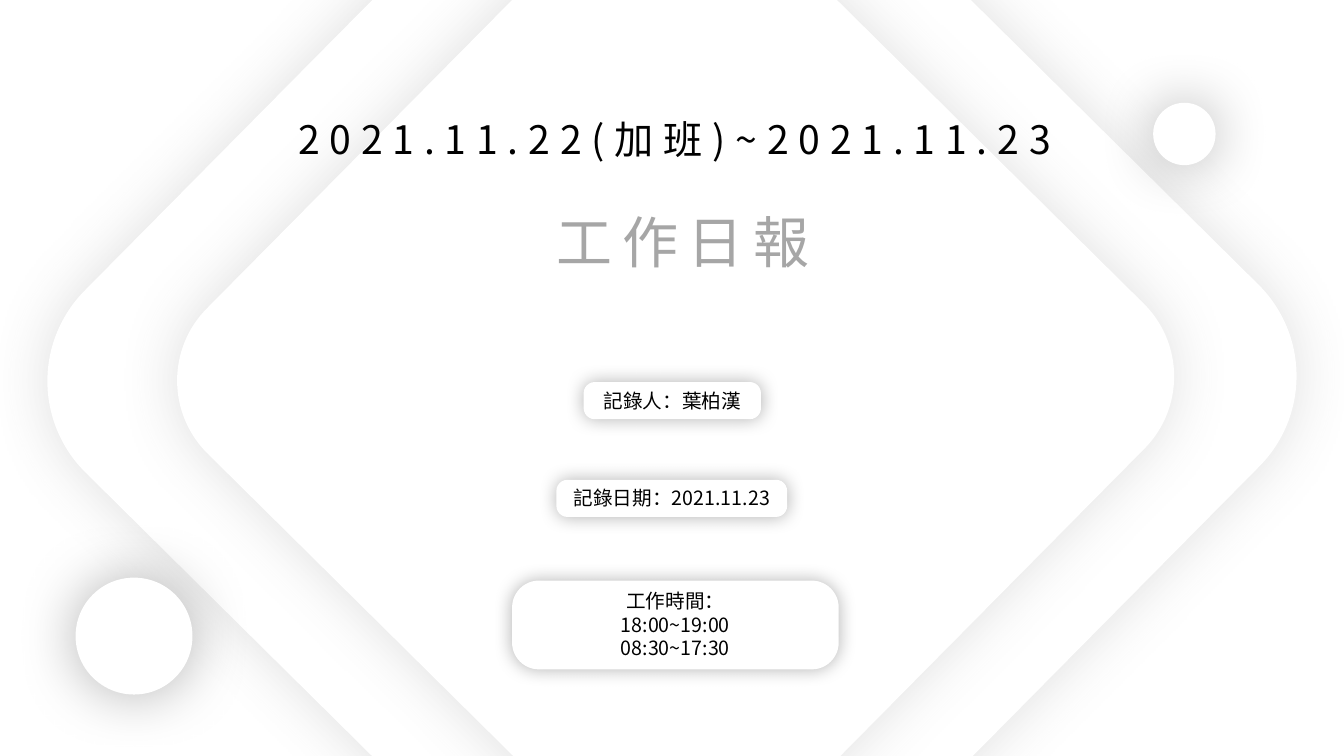
import pptx
import pptx.util
import pptx.dml.color
import pptx.enum.shapes
import pptx.enum.text
import pptx.oxml
import pptx.oxml.ns

Pt = pptx.util.Pt
SHAPE = pptx.enum.shapes.MSO_SHAPE
FONT = "Noto Sans CJK SC"
WHITE, BLACK, GREY, DARK_GREY = "FFFFFF", "000000", "A6A6A6", "595959"


def color(hex_value):
    return pptx.dml.color.RGBColor.from_string(hex_value)


def set_format(target, values):
    for name, value in values.items():
        setattr(target, name, value)


def add_glow_shadow(shape, hex_value, opacity, blur):
    """Give the shape a soft shadow without offset; opacity in percent, blur in points."""
    namespace = pptx.oxml.ns.nsdecls("a")
    shape.shadow.inherit = False
    effects = shape.fill._xPr.find(pptx.oxml.ns.qn("a:effectLst"))
    effects.append(pptx.oxml.parse_xml(
        f'<a:outerShdw {namespace} blurRad="{Pt(blur)}" dist="0" dir="0" algn="ctr" rotWithShape="0">'
        f'<a:srgbClr val="{hex_value}"><a:alpha val="{opacity * 1000}"/></a:srgbClr></a:outerShdw>'))


def add_raised_shape(shapes, kind, box, shadow, corner=None, rotation=0):
    shape = shapes.add_shape(kind, *map(Pt, box))
    shape.rotation = rotation
    if corner is not None:
        shape.adjustments[0] = corner
    shape.fill.solid()
    shape.fill.fore_color.rgb = color(WHITE)
    shape.line.fill.background()
    add_glow_shadow(shape, *shadow)


def add_centered_text(shapes, box, lines, size, hex_value=BLACK, spacing=0):
    text_box = shapes.add_textbox(*map(Pt, box))
    frame = text_box.text_frame
    set_format(frame, {"word_wrap": True,
                       "auto_size": pptx.enum.text.MSO_AUTO_SIZE.SHAPE_TO_FIT_TEXT})
    frame.text = "\n".join(lines)
    for paragraph in frame.paragraphs:
        paragraph.alignment = pptx.enum.text.PP_ALIGN.CENTER
        for run in paragraph.runs:
            set_format(run.font, {"size": Pt(size), "name": FONT})
            run.font.color.rgb = color(hex_value)
            properties = run._r.get_or_add_rPr()
            if spacing:
                properties.set("spc", str(spacing * 100))
            east_asian = pptx.oxml.parse_xml(
                f'<a:ea {pptx.oxml.ns.nsdecls("a")} typeface="{FONT}"/>')
            properties.find(pptx.oxml.ns.qn("a:latin")).addnext(east_asian)


def add_diamond(slide, center_x, center_y, side):
    box = (center_x - side / 2, center_y - side / 2, side, side)
    add_raised_shape(slide.shapes, SHAPE.ROUNDED_RECTANGLE, box,
                     (DARK_GREY, 19, 43), corner=0.134, rotation=44.7)


def add_heading(slide, left, top, width):
    add_centered_text(slide.shapes, (left, top, width, 41),
                      ["2021.11.22(加班)~2021.11.23"], 28, spacing=7)
    add_centered_text(slide.shapes, (left + 125.3, top + 66.2, 342, 55.4),
                      ["工作日報"], 40, GREY, spacing=7)


def add_disc(slide, left, top, diameter):
    add_raised_shape(slide.shapes, SHAPE.OVAL, (left, top, diameter, diameter), (BLACK, 30, 43))


def add_label(slide, box, text_width, lines):
    """Add a rounded plate with text centred on it, as one group."""
    left, top, width, height = box
    group = slide.shapes.add_group_shape()
    add_raised_shape(group.shapes, SHAPE.ROUNDED_RECTANGLE, box, (BLACK, 30, 13), corner=0.302)
    text_height = 7.2 + 17 * len(lines)
    text_box = (left + (width - text_width) / 2, top + (height - text_height) / 2,
                text_width, text_height)
    add_centered_text(group.shapes, text_box, lines, 14)


def build_cover(presentation):
    slide = presentation.slides.add_slide(presentation.slide_layouts[6])
    add_diamond(slide, 480, 270.4, 684.7)
    add_diamond(slide, 482.6, 270.4, 546.5)
    add_heading(slide, 191.5, 78.5, 581)
    add_disc(slide, 54, 412.6, 83.5)
    add_disc(slide, 823.7, 73.4, 44.6)
    labels = [
        ((416.9, 272.9, 126.7, 26.6), 150.5, ["記錄人：葉柏漢"]),
        ((397.4, 342.7, 164.9, 26.6), 173.5, ["記錄日期：2021.11.23"]),
        ((365.8, 414.7, 233.3, 63.4), 245.5, ["工作時間：", "18:00~19:00", "08:30~17:30"]),
    ]
    for box, text_width, lines in labels:
        add_label(slide, box, text_width, lines)


def main():
    presentation = pptx.Presentation()
    set_format(presentation, {"slide_width": Pt(960), "slide_height": Pt(540)})
    build_cover(presentation)
    presentation.save("out.pptx")


if __name__ == "__main__":
    main()
